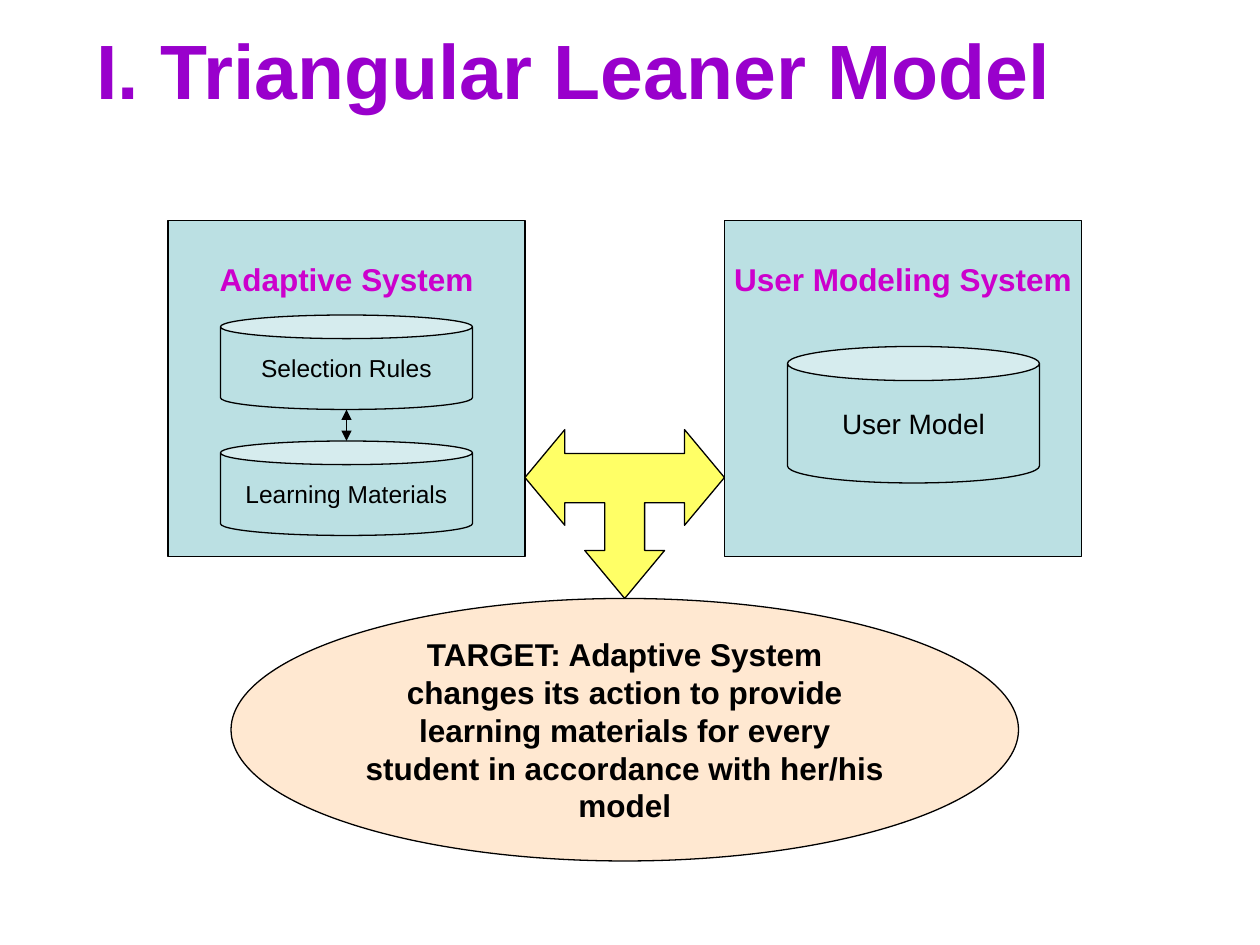
from dataclasses import dataclass

from lxml.etree import SubElement
from pptx import Presentation
from pptx.dml.color import RGBColor
from pptx.enum.shapes import MSO_CONNECTOR, MSO_SHAPE
from pptx.enum.text import MSO_ANCHOR, MSO_AUTO_SIZE, PP_ALIGN
from pptx.oxml.ns import qn
from pptx.util import Pt

FONT = "Arial"
BLACK = RGBColor(0x00, 0x00, 0x00)
PURPLE = RGBColor(0x99, 0x00, 0xCC)
MAGENTA = RGBColor(0xCC, 0x00, 0xCC)
TEAL = RGBColor(0xBB, 0xE0, 0xE3)
YELLOW = RGBColor(0xFF, 0xFF, 0x66)
PEACH = RGBColor(0xFF, 0xE8, 0xD1)
OUTLINE = 0.75


@dataclass
class Block:
    kind: MSO_SHAPE
    text: str
    left: float
    top: float
    width: float
    height: float
    size: float
    fill: RGBColor = TEAL
    color: RGBColor = BLACK
    bold: bool = False
    wrap: bool = False
    heading: bool = False


RECT, CAN, OVAL = MSO_SHAPE.RECTANGLE, MSO_SHAPE.CAN, MSO_SHAPE.OVAL
SYSTEMS = [
    Block(RECT, text, left, 126, 204, 192, 18, color=MAGENTA, bold=True, heading=True)
    for text, left in (("Adaptive System", 96), ("User Modeling System", 414))
]
STORES = [
    Block(CAN, "Selection Rules", 126, 180, 144, 54, 14),
    Block(CAN, "Learning Materials", 126, 252, 144, 54, 14),
    Block(CAN, "User Model", 450, 198, 144, 78, 16),
]
TARGET = Block(
    OVAL,
    "TARGET: Adaptive System changes its action to provide learning materials "
    "for every student in accordance with her/his model",
    132, 342, 450, 150, 18, fill=PEACH, bold=True, wrap=True,
)

# Right half of the three-way arrow: offset from its axis, and height on the slide
ARROW_AXIS = 357
ARROW_HALF = [
    (0, 342), (22.8, 314.6), (11.4, 314.6), (11.4, 287.3), (34.2, 287.3),
    (34.2, 300.2), (57, 272.9), (34.2, 245.5), (34.2, 259.2),
]


def style_shape(s, fill: RGBColor) -> None:
    s.shadow.inherit = False
    s.fill.solid()
    s.fill.fore_color.rgb = fill
    s.line.color.rgb = BLACK
    s.line.width = Pt(OUTLINE)


def style_paragraph(p, size: float, color: RGBColor, bold: bool, align: PP_ALIGN) -> None:
    p.alignment = align
    p.font.name = FONT
    p.font.size = Pt(size)
    p.font.bold = bold
    p.font.color.rgb = color


def add_block(slide, b: Block) -> None:
    s = slide.shapes.add_shape(b.kind, Pt(b.left), Pt(b.top), Pt(b.width), Pt(b.height))
    style_shape(s, b.fill)
    tf = s.text_frame
    tf.word_wrap = b.wrap
    tf.vertical_anchor = MSO_ANCHOR.MIDDLE
    if b.heading:
        tf.vertical_anchor = MSO_ANCHOR.TOP
        tf.margin_top = Pt(22.5)
    tf.text = b.text
    style_paragraph(tf.paragraphs[0], b.size, b.color, b.bold, PP_ALIGN.CENTER)


def add_three_way_arrow(slide) -> None:
    right = [(ARROW_AXIS + dx, y) for dx, y in ARROW_HALF]
    left = [(ARROW_AXIS - dx, y) for dx, y in reversed(ARROW_HALF[1:])]
    points = [(Pt(x), Pt(y)) for x, y in right + left]
    builder = slide.shapes.build_freeform(*points[0])
    builder.add_line_segments(points[1:], close=True)
    style_shape(builder.convert_to_shape(), YELLOW)


def add_double_arrow(slide, upper: Block, lower: Block) -> None:
    """Link the bottom of the upper block to the top of the lower one."""
    x = Pt(upper.left + upper.width / 2)
    c = slide.shapes.add_connector(
        MSO_CONNECTOR.STRAIGHT, x, Pt(upper.top + upper.height), x, Pt(lower.top)
    )
    c.line.color.rgb = BLACK
    c.line.width = Pt(OUTLINE)
    ln = c.line._get_or_add_ln()
    for end in ("a:headEnd", "a:tailEnd"):
        SubElement(ln, qn(end), type="triangle")
    SubElement(c._element.spPr, qn("a:effectLst"))


def add_title(slide, text: str) -> None:
    s = slide.shapes.title
    s.left, s.top, s.width, s.height = Pt(48), Pt(6), Pt(642), Pt(66)
    tf = s.text_frame
    tf.text = text
    tf.word_wrap = True
    tf.auto_size = MSO_AUTO_SIZE.NONE
    tf.vertical_anchor = MSO_ANCHOR.MIDDLE
    style_paragraph(tf.paragraphs[0], 44, PURPLE, True, PP_ALIGN.LEFT)


def main() -> None:
    prs = Presentation()
    prs.slide_width, prs.slide_height = Pt(720), Pt(540)
    slide = prs.slides.add_slide(prs.slide_layouts[5])
    add_title(slide, "I. Triangular Leaner Model")
    for block in SYSTEMS + STORES:
        add_block(slide, block)
    add_three_way_arrow(slide)
    add_block(slide, TARGET)
    add_double_arrow(slide, STORES[0], STORES[1])
    prs.save("out.pptx")


if __name__ == "__main__":
    main()
